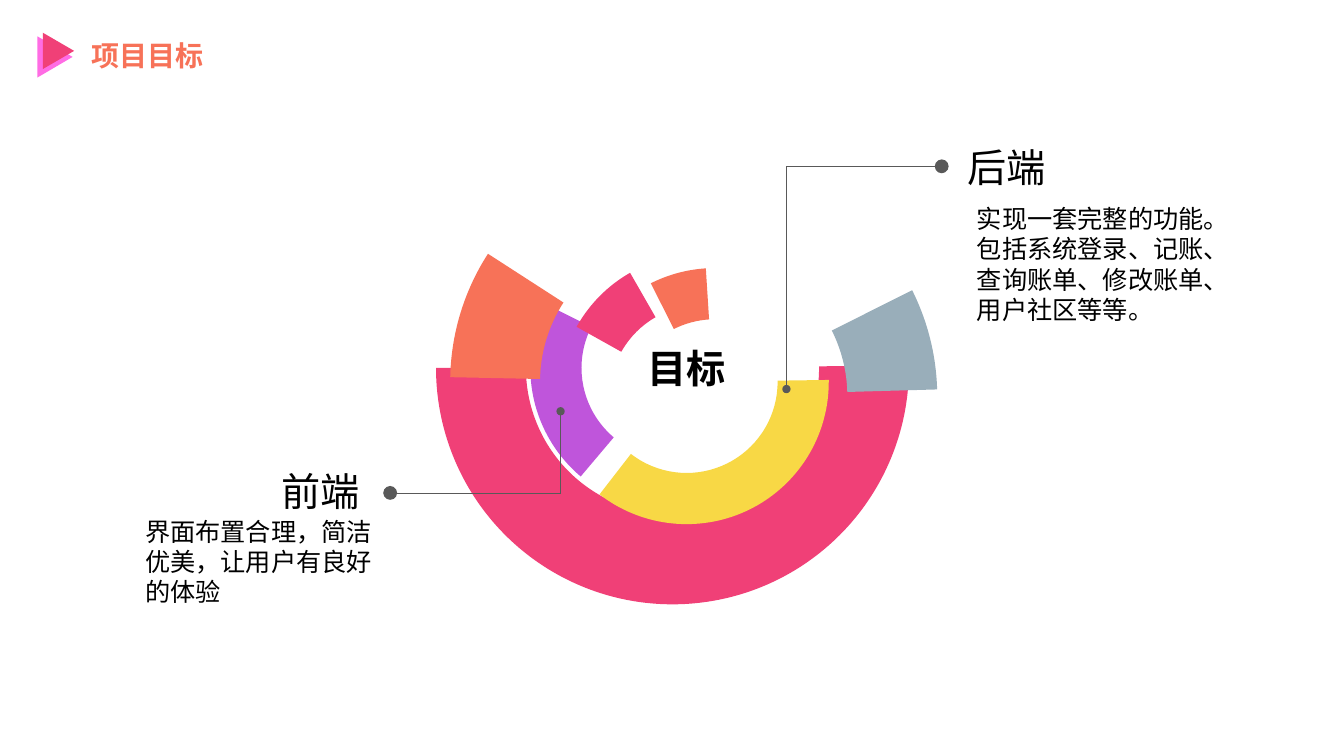
from lxml import etree
from pptx import Presentation, util as u
from pptx.dml.color import RGBColor
from pptx.enum import shapes, text
from pptx.oxml.ns import qn

CJK = "Noto Sans CJK SC"
PINK, ORANGE, PURPLE = "F04077", "F77258", "BF55DB"
YELLOW, SLATE, MAGENTA = "F8D845", "99AEBA", "FF6CE4"
BLACK, GREY = "000000", "595959"
LARGE, SMALL = 4.69, 2.82
RING_STEP = 0.14
RINGS = [
    (LARGE, 0, 359.38, 180, PINK),
    (SMALL, 0, 130.21, 206.73, PURPLE),
    (SMALL, 1, 359.17, 127.75, YELLOW),
    (SMALL, 2, 209.19, 240.21, PINK),
    (LARGE, 1, 181.17, 212.84, ORANGE),
    (LARGE, 2, 333.39, 358.37, SLATE),
    (SMALL, 3, 243.23, 266.37, ORANGE),
]
LEFT, CENTER, RIGHT = text.PP_ALIGN.LEFT, text.PP_ALIGN.CENTER, text.PP_ALIGN.RIGHT


def color(value):
    return RGBColor.from_string(value)


def inches(*lengths):
    return [u.Inches(length) for length in lengths]


def add_solid(page, kind, box, fill):
    shape = page.shapes.add_shape(kind, *inches(*box))
    shape.shadow.inherit = False
    shape.fill.solid()
    shape.fill.fore_color.rgb = color(fill)
    shape.line.fill.background()
    return shape


def write(shape, words, size, fill=BLACK, font=CJK, bold=False, align=LEFT, wrap=True):
    frame = shape.text_frame
    frame.text = words
    frame.word_wrap = wrap
    frame.auto_size = text.MSO_AUTO_SIZE.NONE
    frame.vertical_anchor = text.MSO_ANCHOR.TOP
    para = frame.paragraphs[0]
    para.alignment = align
    span = para.runs[0]
    span.font.size = u.Pt(size)
    span.font.name = font
    span.font.bold = bold
    span.font.color.rgb = color(fill)
    latin = span.font._element.find(qn("a:latin"))
    east_asian = etree.Element(qn("a:ea"), typeface=CJK)
    latin.addnext(east_asian)


def add_heading(page, left, top):
    title = page.shapes.title
    title.left, title.top, title.width, title.height = inches(left + 0.47, top, 2.99, 0.44)
    write(title, "项目目标", 20, ORANGE, bold=True)
    triangle = shapes.MSO_SHAPE.ISOSCELES_TRIANGLE
    for dx, dy, width, height, fill in [
        (0, 0.06, 0.41, 0.35, MAGENTA),
        (0.06, 0.02, 0.36, 0.31, PINK),
    ]:
        marker = add_solid(page, triangle, (left + dx, top + dy, width, height), fill)
        marker.rotation = 90


def add_rings(page, center_x, center_y):
    for size, step, start, end, fill in RINGS:
        left = center_x - size / 2 + step * RING_STEP
        top = center_y - size / 2 + step * RING_STEP
        arc = add_solid(page, shapes.MSO_SHAPE.BLOCK_ARC, (left, top, size, size), fill)
        arc.adjustments[0] = start * 0.6
        arc.adjustments[1] = end * 0.6
        arc.adjustments[2] = 0.18 if size == SMALL else 0.19
    label = page.shapes.add_textbox(*inches(center_x - 0.35, center_y - 0.28, 0.98, 0.57))
    write(label, "目标", 28, bold=True, align=CENTER, wrap=False)


def add_segment(page, start, end, dot, dot_size):
    line = page.shapes.add_connector(shapes.MSO_CONNECTOR.STRAIGHT, *inches(*start, *end))
    line.line.color.rgb = color(GREY)
    line.line.width = u.Pt(0.5)
    outline = line.line._get_or_add_ln()
    etree.SubElement(outline, qn("a:" + dot), type="oval", w=dot_size, len=dot_size)
    etree.SubElement(line._element.spPr, qn("a:effectLst"))


def add_callout(page, anchor, elbow_y, end_x, name, name_box, detail, detail_box, align):
    elbow = (anchor[0], elbow_y)
    add_segment(page, anchor, elbow, "headEnd", "med")
    add_segment(page, elbow, (end_x, elbow_y), "tailEnd", "lg")
    write(page.shapes.add_textbox(*inches(*name_box)), name, 28, align=align, wrap=False)
    write(page.shapes.add_textbox(*inches(*detail_box)), detail, 18, font="Arial")


def main():
    deck = Presentation()
    deck.slide_width, deck.slide_height = inches(13.33, 7.5)
    page = deck.slides.add_slide(deck.slide_layouts[5])
    add_heading(page, 0.34, 0.33)
    add_rings(page, 6.67, 3.65)
    add_callout(
        page, (7.8, 3.86), 1.65, 9.34,
        "后端", (9.5, 1.37, 0.98, 0.57),
        "实现一套完整的功能。包括系统登录、记账、查询账单、修改账单、用户社区等等。",
        (9.59, 1.97, 2.45, 1.31), LEFT,
    )
    add_callout(
        page, (5.56, 4.08), 4.89, 3.87,
        "前端", (2.69, 4.59, 0.98, 0.57),
        "界面布置合理，简洁优美，让用户有良好的体验",
        (1.34, 5.07, 2.45, 1.01), RIGHT,
    )
    deck.save("out.pptx")


if __name__ == "__main__":
    main()
